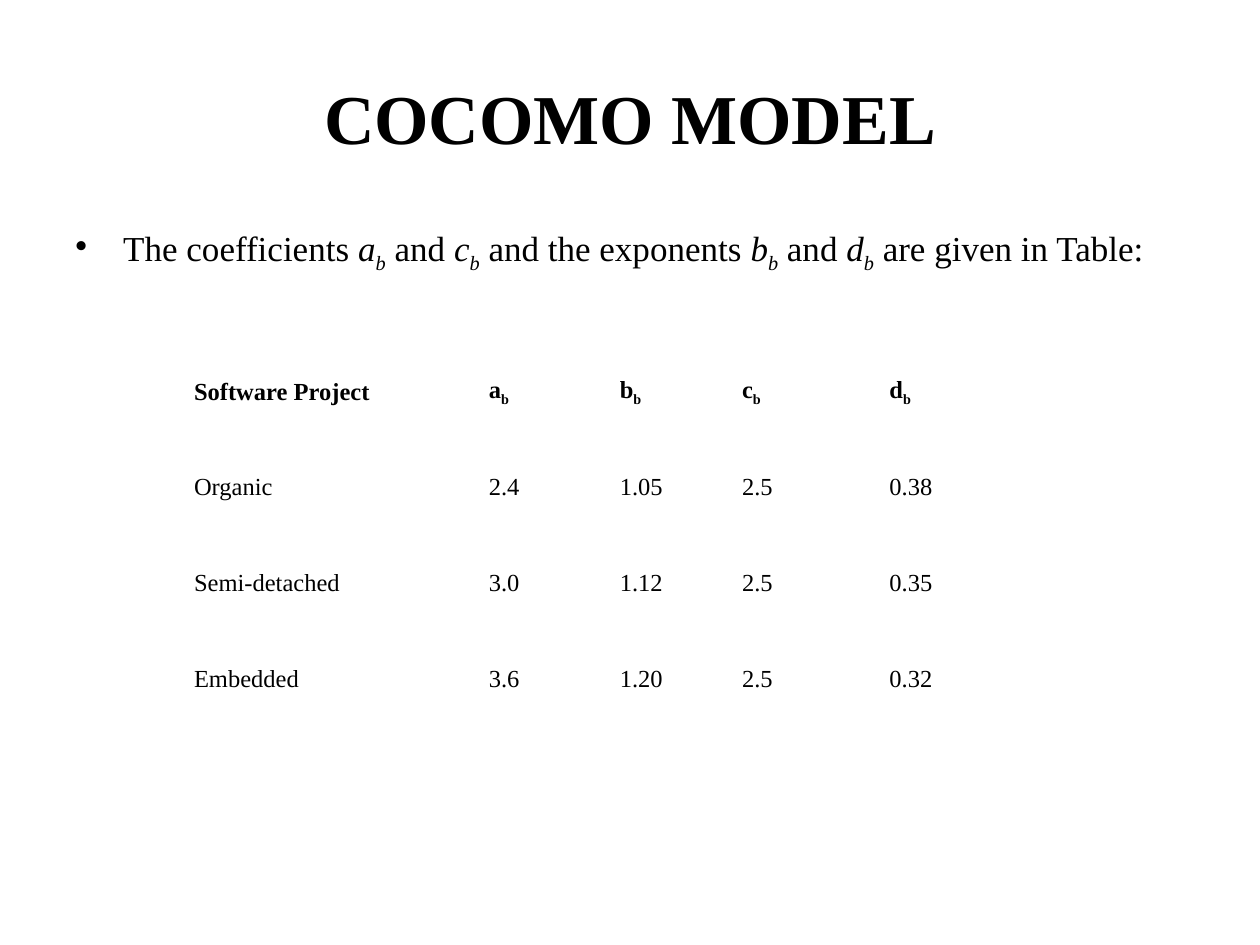
from lxml import etree
from pptx import Presentation
from pptx.dml.color import RGBColor
from pptx.enum.text import MSO_ANCHOR, PP_ALIGN
from pptx.oxml.ns import qn
from pptx.util import Inches, Pt

FONT = "Times New Roman"
COLORS = {"text": "000000", "background": "FFFFFF"}
HEADERS = ["Software Project", "a", "b", "c", "d"]
PROJECTS = [
    ["Organic", "2.4", "1.05", "2.5", "0.38"],
    ["Semi-detached", "3.0", "1.12", "2.5", "0.35"],
    ["Embedded", "3.6", "1.20", "2.5", "0.32"],
]
COLUMN_WIDTHS = [2.34, 1.04, 0.97, 1.17, 0.97]
ROW_HEIGHT = 0.76
CELL_MARGIN = Inches(0.04)


def add_run(p, text, size, bold=False, italic=False, subscript=False):
    r = p.add_run()
    r.text = text
    r.font.name = FONT
    r.font.size = Pt(size)
    r.font.bold = bold
    r.font.italic = italic
    r.font.color.rgb = RGBColor.from_string(COLORS["text"])
    if subscript:
        r.font._element.set("baseline", "-25000")


def add_symbol(p, letter, size, **style):
    add_run(p, letter, size, **style)
    add_run(p, "b", size, subscript=True, **style)


def add_text_frame(slide, left, top, width, height):
    box = slide.shapes.add_textbox(
        Inches(left), Inches(top), Inches(width), Inches(height))
    tf = box.text_frame
    tf.word_wrap = True
    return tf


def add_title(slide, left, top, width, height):
    tf = add_text_frame(slide, left, top, width, height)
    tf.vertical_anchor = MSO_ANCHOR.MIDDLE
    p = tf.paragraphs[0]
    p.alignment = PP_ALIGN.CENTER
    add_run(p, "COCOMO MODEL", 40, bold=True)


def add_body(slide, left, top, width, height):
    p = add_text_frame(slide, left, top, width, height).paragraphs[0]
    p.space_before = Pt(4)
    # Bullet with hanging indent
    pPr = p._p.get_or_add_pPr()
    pPr.set("marL", str(Inches(0.38)))
    pPr.set("indent", str(Inches(-0.38)))
    etree.SubElement(pPr, qn("a:buChar")).set("char", "•")
    # Words alternate with italic symbols
    for words, letter in [("The coefficients\u00a0", "a"),
                          ("\u00a0and\u00a0", "c"),
                          ("\u00a0and the exponents\u00a0", "b"),
                          ("\u00a0and\u00a0", "d")]:
        add_run(p, words, 20)
        add_symbol(p, letter, 20, italic=True)
    add_run(p, "\u00a0are given in Table:", 20)


def add_coefficients(slide, left, top):
    rows = [HEADERS] + PROJECTS
    table = slide.shapes.add_table(
        len(rows), len(HEADERS), Inches(left), Inches(top),
        Inches(sum(COLUMN_WIDTHS)), Inches(ROW_HEIGHT * len(rows))).table
    table.first_row = False
    table.horz_banding = False
    for column, width in zip(table.columns, COLUMN_WIDTHS):
        column.width = Inches(width)
    for i, values in enumerate(rows):
        table.rows[i].height = Inches(ROW_HEIGHT)
        for j, value in enumerate(values):
            cell = table.cell(i, j)
            cell.fill.background()
            cell.vertical_anchor = MSO_ANCHOR.MIDDLE
            cell.margin_left = cell.margin_right = CELL_MARGIN
            cell.margin_top = cell.margin_bottom = CELL_MARGIN
            p = cell.text_frame.paragraphs[0]
            if i == 0 and j > 0:
                add_symbol(p, value, 14, bold=True)
            else:
                add_run(p, value, 14, bold=i == 0)


prs = Presentation()
prs.slide_width = Inches(10)
prs.slide_height = Inches(7.5)
slide = prs.slides.add_slide(prs.slide_layouts[6])
fill = slide.background.fill
fill.solid()
fill.fore_color.rgb = RGBColor.from_string(COLORS["background"])

add_body(slide, 0.5, 1.75, 9, 4.95)
add_title(slide, 0.5, 0.3, 9, 1.25)
add_coefficients(slide, 1.5, 2.73)
prs.save("out.pptx")
